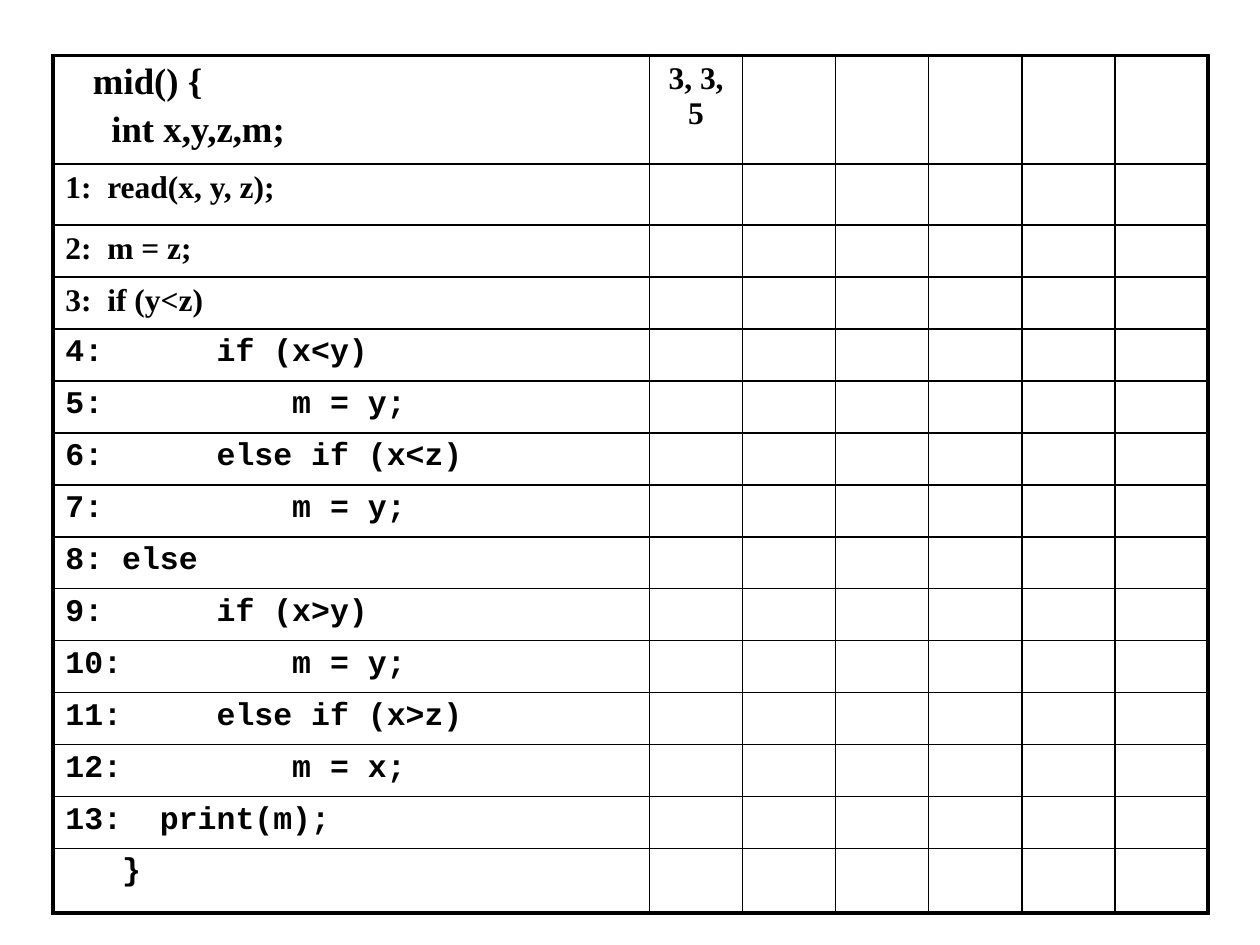
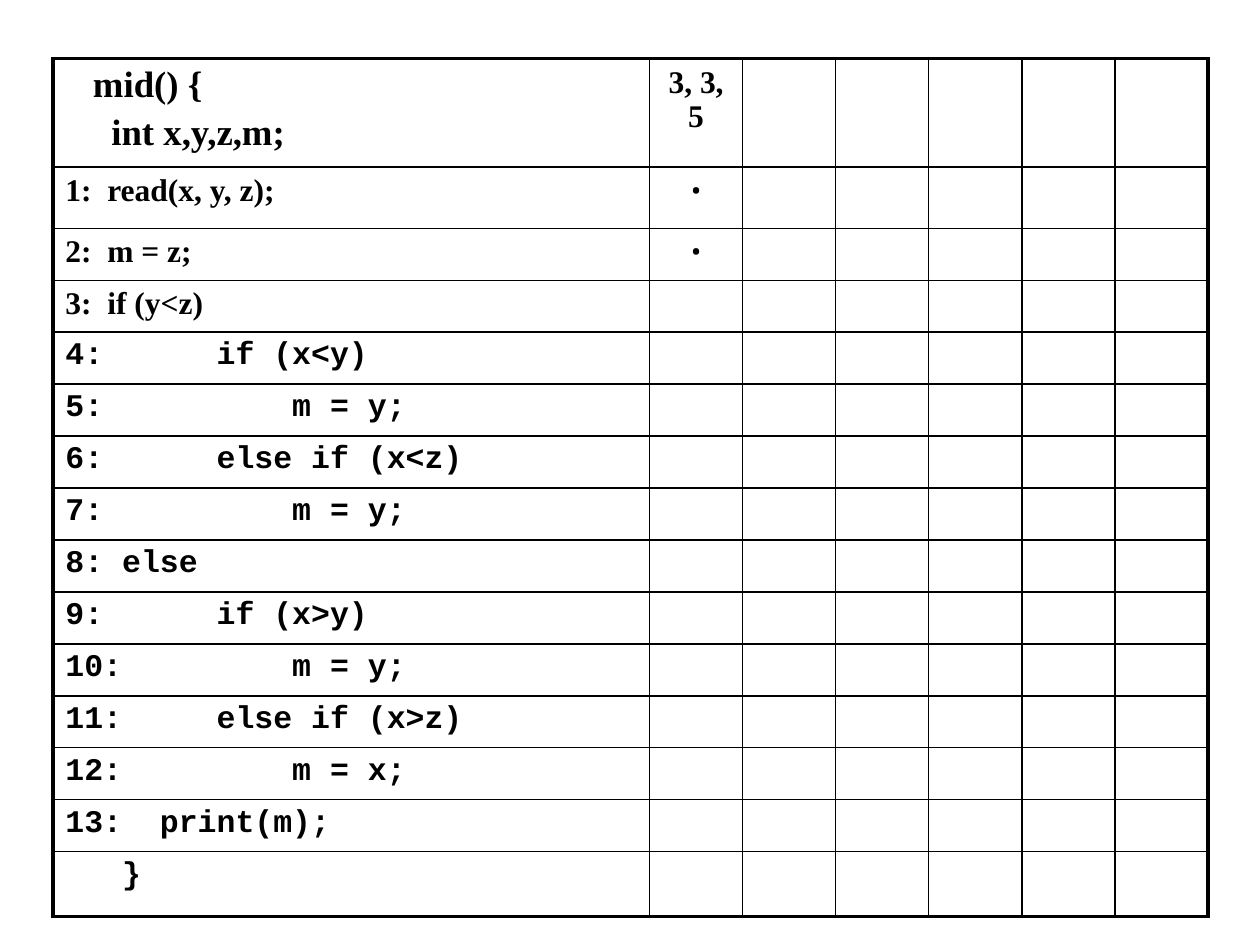
from lxml.etree import SubElement
from pptx import Presentation
from pptx.dml.color import RGBColor
from pptx.enum.text import PP_ALIGN as Align
from pptx.oxml.ns import qn
from pptx.util import Pt

COLORS = {"ink": "000000", "paper": "FFFFFF"}
SERIF, MONO, MARK = "Times New Roman", "Courier New", "Roboto"
THIN, THICK = 1, 2.25

HEADING = ["   mid() {", "     int x,y,z,m;"]
SERIF_CODE = ["1:  read(x, y, z);", "2:  m = z;", "3:  if (y<z)"]
MONO_CODE = [
    "4:      if (x<y)",
    "5:          m = y;",
    "6:      else if (x<z)",
    "7:          m = y;",
    "8: else",
    "9:      if (x>y)",
    "10:         m = y;",
    "11:     else if (x>z)",
    "12:         m = x;",
    "13:  print(m);",
    "   }",
]
TEST_INPUT = "3, 3, 5"

TABLE_LEFT = 30.2
COLUMN_WIDTHS = [341] + [53.2] * 6
ROW_HEIGHTS = [62, 35] + [29.7] * 12 + [37]


class CoverageDeck:
    def __init__(self):
        self.deck = Presentation()
        self.deck.slide_width, self.deck.slide_height = Pt(720), Pt(540)
        self.page = None

    def add_page(self):
        self.page = self.deck.slides.add_slide(self.deck.slide_layouts[6])
        fill = self.page.background.fill
        fill.solid()
        fill.fore_color.rgb = RGBColor.from_string(COLORS["paper"])

    def add_grid(self, top):
        """Add an empty white table with a thick frame and thin inner lines."""
        frame = self.page.shapes.add_table(
            len(ROW_HEIGHTS), len(COLUMN_WIDTHS), Pt(TABLE_LEFT), Pt(top),
            Pt(sum(COLUMN_WIDTHS)), Pt(sum(ROW_HEIGHTS)))
        table = frame.table
        table.first_row = table.horz_banding = False
        for column, width in zip(table.columns, COLUMN_WIDTHS):
            column.width = Pt(width)
        last_row, last_column = len(ROW_HEIGHTS) - 1, len(COLUMN_WIDTHS) - 1
        for r, height in enumerate(ROW_HEIGHTS):
            table.rows[r].height = Pt(height)
            for c in range(len(COLUMN_WIDTHS)):
                cell = table.cell(r, c)
                self.draw_borders(cell, {"L": c == 0, "R": c == last_column,
                                         "T": r == 0, "B": r == last_row})
                cell.fill.solid()
                cell.fill.fore_color.rgb = RGBColor.from_string(COLORS["paper"])
                self.style_para(cell.text_frame.paragraphs[0], SERIF)
        return table

    def draw_borders(self, cell, outer_sides):
        properties = cell._tc.get_or_add_tcPr()
        for side, is_outer in outer_sides.items():
            line = SubElement(properties, qn(f"a:ln{side}"),
                              w=str(Pt(THICK if is_outer else THIN)))
            fill = SubElement(line, qn("a:solidFill"))
            SubElement(fill, qn("a:srgbClr"), val=COLORS["ink"])

    def style_para(self, para, font, size=18, bold=True):
        para.font.name, para.font.size, para.font.bold = font, Pt(size), bold
        para.font.color.rgb = RGBColor.from_string(COLORS["ink"])

    def fill_cell(self, cell, lines, font=SERIF, size=18, bold=True, align=Align.LEFT):
        cell.text_frame.text = "\n".join(lines)
        for index, para in enumerate(cell.text_frame.paragraphs):
            para.alignment = align
            if index:
                para.space_before = Pt(0.2 * size)
            self.style_para(para, font, size, bold)

    def add_coverage_page(self, top, covered_lines=()):
        """Add the code listing, with a dot beside each line the test reached."""
        self.add_page()
        table = self.add_grid(top)
        self.fill_cell(table.cell(0, 0), HEADING, size=21)
        self.fill_cell(table.cell(0, 1), [TEST_INPUT], align=Align.CENTER)
        for row, code in enumerate(SERIF_CODE + MONO_CODE, start=1):
            font = SERIF if row <= len(SERIF_CODE) else MONO
            self.fill_cell(table.cell(row, 0), [code], font)
        for row in covered_lines:
            self.fill_cell(table.cell(row, 1), ["•"], MARK, bold=False, align=Align.CENTER)


def main():
    coverage = CoverageDeck()
    coverage.add_coverage_page(top=31.7)
    coverage.add_coverage_page(top=33.5, covered_lines=(1, 2))
    coverage.deck.save("out.pptx")


if __name__ == "__main__":
    main()
